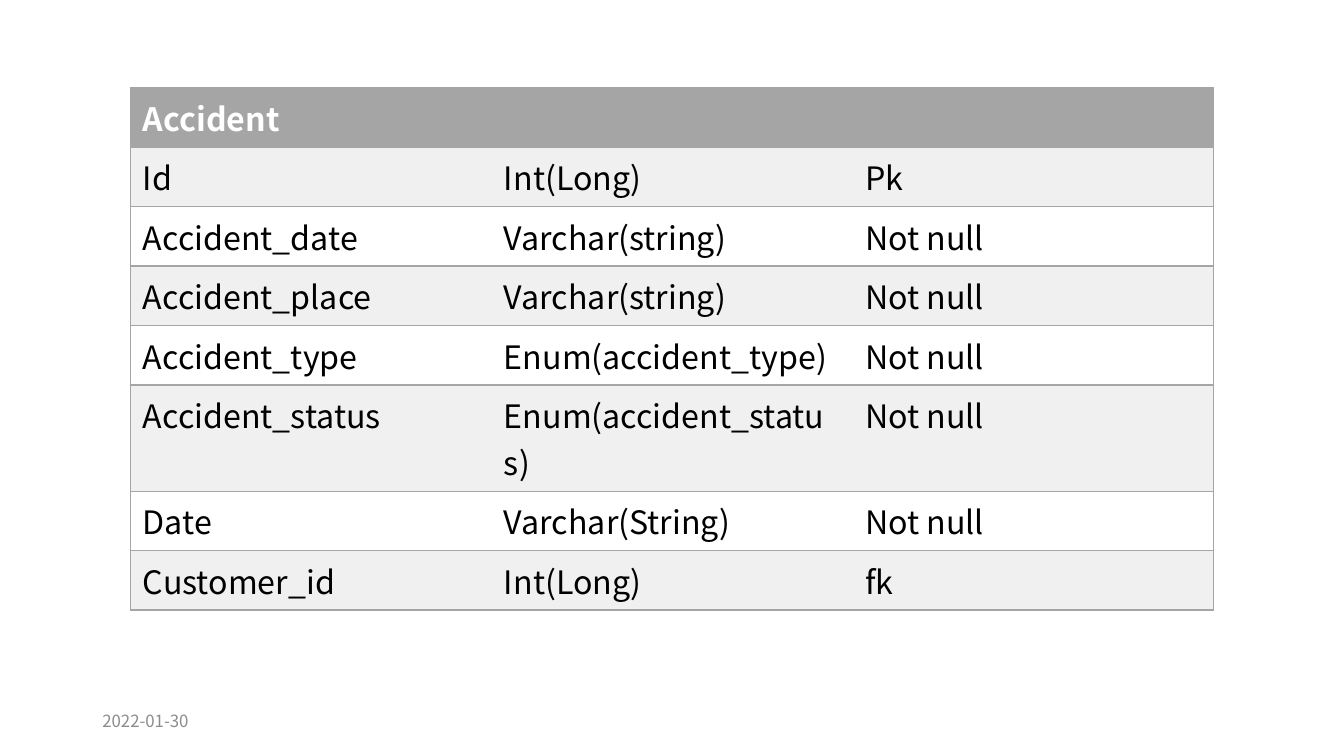
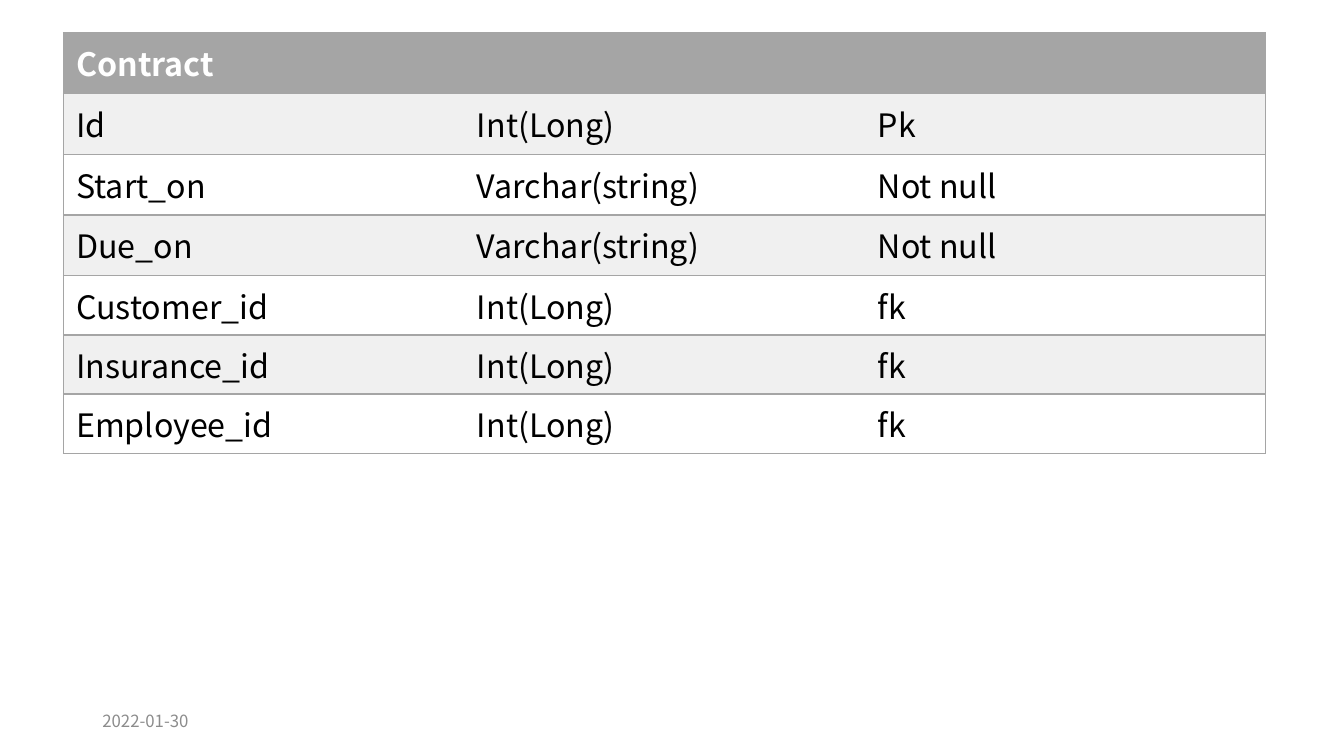
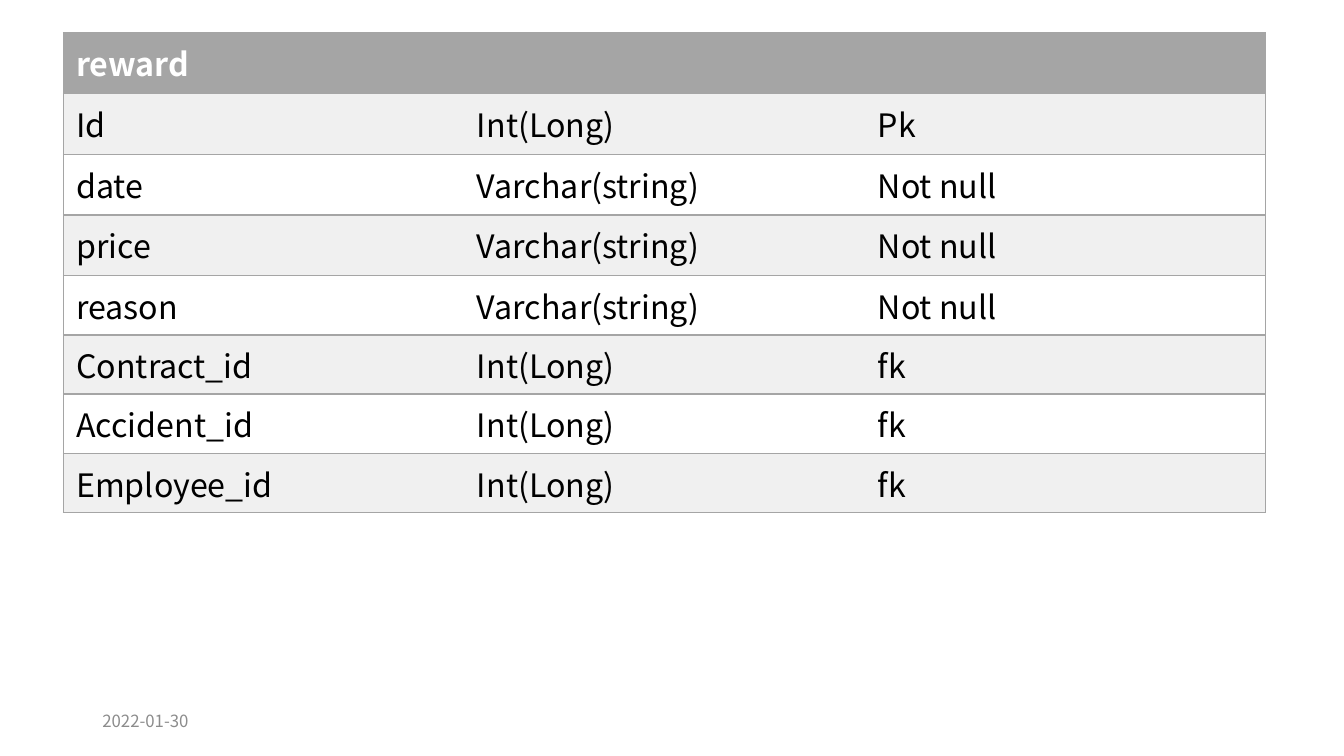
"""Build three slides of database table layouts."""
from dataclasses import dataclass

from lxml.etree import SubElement as Sub
from pptx import Presentation
from pptx.dml.color import RGBColor as RGB
from pptx.enum.text import MSO_ANCHOR as Anchor
from pptx.oxml.ns import qn
from pptx.util import Cm, Pt


@dataclass(frozen=True)
class Theme:
    font: str = "Noto Sans CJK KR"
    head: str = "A5A5A5"
    band: str = "F0F0F0"
    plain: str = "FFFFFF"
    ink: str = "000000"
    mute: str = "8C8C8C"
    body: int = 23
    small: int = 12
    rule: int = 1


THEME = Theme()
DATE = "2022-01-30"
COLS = 3
ROW, TALL, WRAP = 1.49, 1.53, 2.67
SMALL = (3.28, 2.21, 27.3)
WIDE = (1.6, 0.83, 30.3)

ID = ("Id", "Int(Long)", "Pk")


def text(name):
    return name, "Varchar(string)", "Not null"


def key(name):
    return name, "Int(Long)", "fk"


TABLES = [
    ("Accident", SMALL, {5: WRAP}, [
        ID,
        text("Accident_date"),
        text("Accident_place"),
        ("Accident_type", "Enum(accident_type)", "Not null"),
        ("Accident_status", "Enum(accident_status)", "Not null"),
        ("Date", "Varchar(String)", "Not null"),
        key("Customer_id"),
    ]),
    ("Contract", WIDE, dict.fromkeys(range(4), TALL), [
        ID,
        text("Start_on"),
        text("Due_on"),
        key("Customer_id"),
        key("Insurance_id"),
        key("Employee_id"),
    ]),
    ("reward", WIDE, dict.fromkeys(range(4), TALL), [
        ID,
        text("date"),
        text("price"),
        text("reason"),
        key("Contract_id"),
        key("Accident_id"),
        key("Employee_id"),
    ]),
]


def style(frame, size, color, bold=False):
    for run in frame.paragraphs[0].runs:
        font = run.font
        font.name, font.size, font.bold = THEME.font, Pt(size), bold
        font.color.rgb = RGB.from_string(color)


def border(cell, sides):
    props = cell._tc.get_or_add_tcPr()
    for side in "LRTB":
        line = Sub(props, qn(f"a:ln{side}"), w=str(Pt(THEME.rule)))
        if side in sides:
            fill = Sub(line, qn("a:solidFill"))
            Sub(fill, qn("a:srgbClr"), val=THEME.head)
        else:
            Sub(line, qn("a:noFill"))


def paint(cell, label, fill, color, bold, sides):
    border(cell, sides)
    cell.fill.solid()
    cell.fill.fore_color.rgb = RGB.from_string(fill)
    cell.margin_left = cell.margin_right = Cm(0.32)
    cell.margin_top = cell.margin_bottom = Cm(0.16)
    cell.text_frame.text = label
    style(cell.text_frame, THEME.body, color, bold)


def add_grid(slide, title, box, highs, fields):
    left, top, width = box
    count = len(fields) + 1
    sizes = [highs.get(i, ROW) for i in range(count)]
    grid = slide.shapes.add_table(count, COLS, Cm(left), Cm(top),
                                  Cm(width), Cm(sum(sizes))).table
    grid.horz_banding = False
    for row, size in zip(grid.rows, sizes):
        row.height = Cm(size)
    for c in range(COLS):
        paint(grid.cell(0, c), "" if c else title, THEME.head,
              THEME.plain, True, "LRTB")
    grid.cell(0, 0).merge(grid.cell(0, COLS - 1))
    for r, field in enumerate(fields, 1):
        fill = THEME.band if r % 2 else THEME.plain
        for c, label in enumerate(field):
            sides = "TB" + {0: "L", COLS - 1: "R"}.get(c, "")
            paint(grid.cell(r, c), label, fill, THEME.ink, False, sides)


def add_date(slide):
    frame = slide.shapes.add_textbox(Cm(2.33), Cm(17.65), Cm(7.62),
                                     Cm(1.01)).text_frame
    frame.word_wrap = True
    frame.vertical_anchor = Anchor.MIDDLE
    frame.text = DATE
    style(frame, THEME.small, THEME.mute)


def main():
    deck = Presentation()
    deck.slide_width, deck.slide_height = Cm(33.87), Cm(19.05)
    for table in TABLES:
        slide = deck.slides.add_slide(deck.slide_layouts[6])
        add_grid(slide, *table)
        add_date(slide)
    deck.save("out.pptx")


if __name__ == "__main__":
    main()
